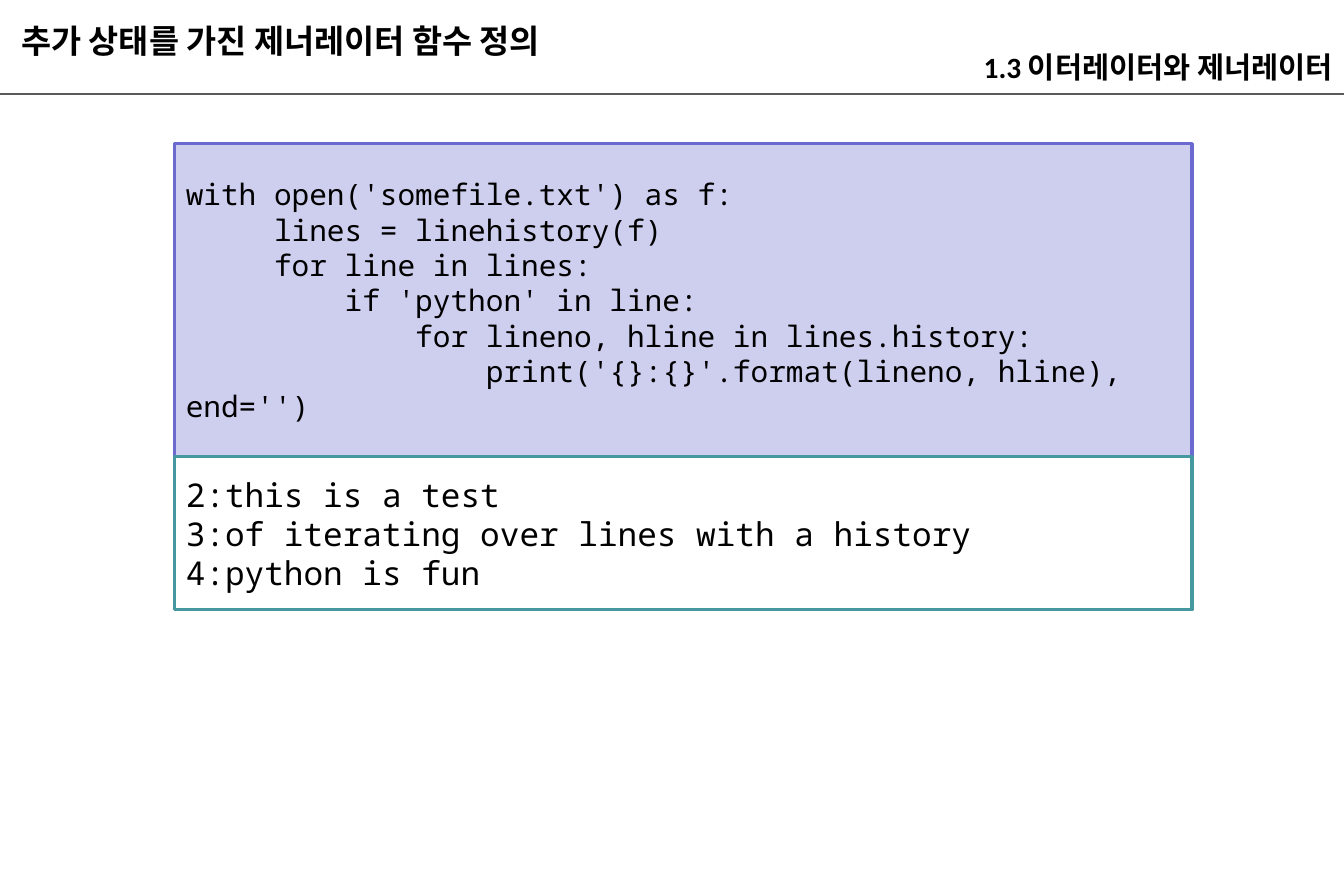
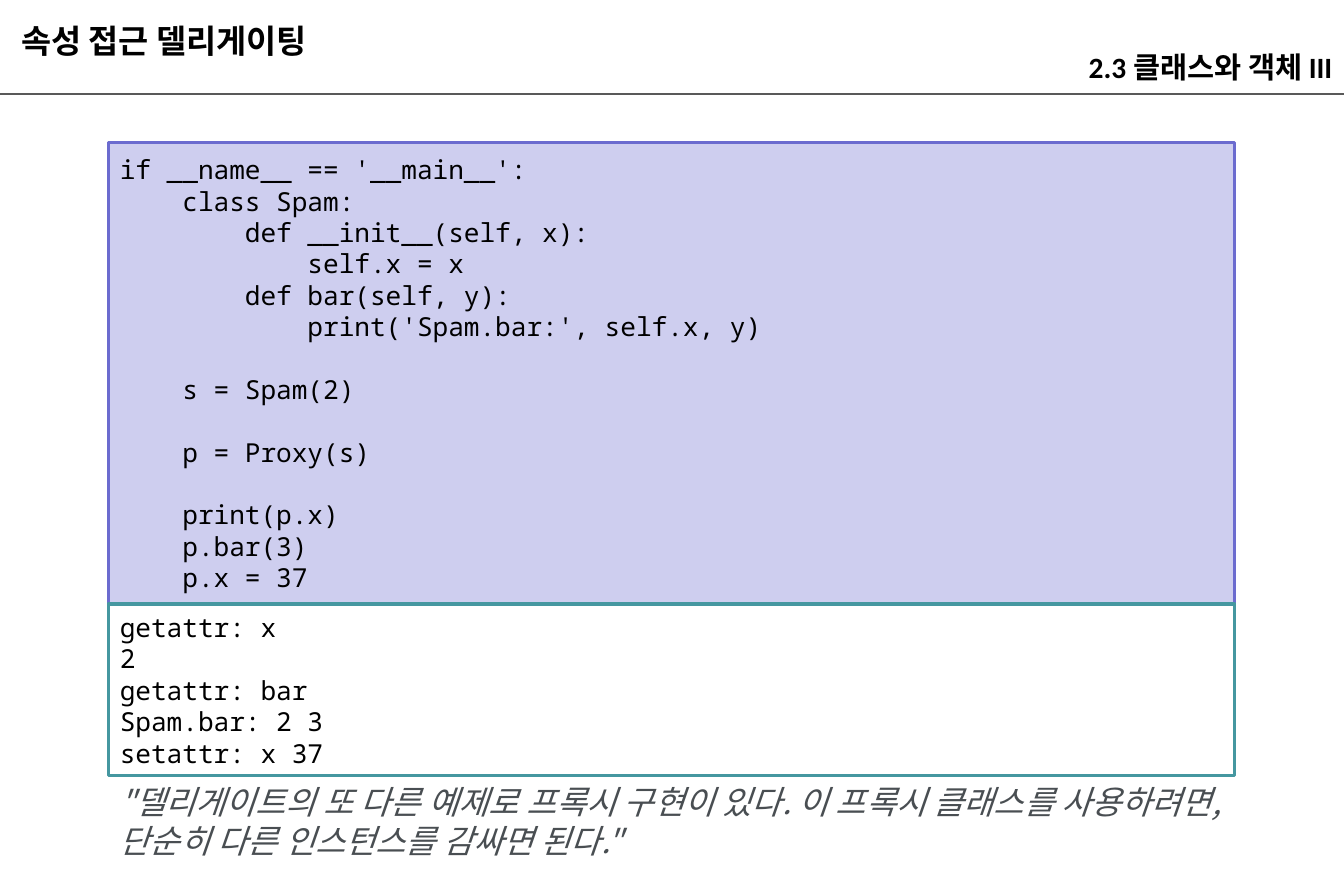
import lxml.etree
import pptx
import pptx.util
import pptx.dml.color
import pptx.enum.shapes
import pptx.enum.text
import pptx.oxml.ns

Pt = pptx.util.Pt
ANCHOR = pptx.enum.text.MSO_ANCHOR
ALIGN = pptx.enum.text.PP_ALIGN
W, H = 822.24, 540
MONO = "Noto Sans Mono"
KOREAN = "Noto Sans CJK KR"
COLORS = {
    "text": "000000",
    "rule": "595959",
    "code_fill": "CECEEF",
    "code_line": "6B6BCF",
    "output_fill": "FFFFFF",
    "output_line": "4597A0",
    "quote": "494E52",
}
RGB = {k: pptx.dml.color.RGBColor.from_string(v) for k, v in COLORS.items()}


def add_run(p, text, size, font, color="text", bold=False, italic=False):
    r = p.add_run()
    r.text = text
    r.font.size = Pt(size)
    r.font.name = font
    r.font.bold = bold
    r.font.italic = italic
    r.font.color.rgb = RGB[color]
    if font != MONO:
        ea = lxml.etree.SubElement(r.font._element, pptx.oxml.ns.qn("a:ea"))
        ea.set("typeface", KOREAN)


def add_heading(sp, box, text, size, align):
    sp.left, sp.top, sp.width, sp.height = [Pt(v) for v in box]
    tf = sp.text_frame
    tf.word_wrap = True
    tf.auto_size = pptx.enum.text.MSO_AUTO_SIZE.NONE
    tf.vertical_anchor = ANCHOR.BOTTOM
    tf.margin_left = tf.margin_right = Pt(7.2)
    tf.margin_top = tf.margin_bottom = Pt(1.44)
    p = tf.paragraphs[0]
    p.alignment = align
    add_run(p, text, size, "Calibri", bold=True)


slides = [
    {
        "title": "추가 상태를 가진 제너레이터 함수 정의",
        "section": "1.3 이터레이터와 제너레이터",
        "left": 106.56, "top": 87.84, "width": 622.8,
        "panels": [
            ("code", 191.52, 18, """with open('somefile.txt') as f:
     lines = linehistory(f)
     for line in lines:
         if 'python' in line:
             for lineno, hline in lines.history:
                 print('{}:{}'.format(lineno, hline), end='')"""),
            ("output", 93.6, 20, """2:this is a test
3:of iterating over lines with a history
4:python is fun"""),
        ],
        "quote": None,
    },
    {
        "title": "속성 접근 델리게이팅",
        "section": "2.3 클래스와 객체 III",
        "left": 66.24, "top": 87.12, "width": 689.04,
        "panels": [
            ("code", 282.24, 16, """if __name__ == '__main__':
    class Spam:
        def __init__(self, x):
            self.x = x
        def bar(self, y):
            print('Spam.bar:', self.x, y)

    s = Spam(2)

    p = Proxy(s)

    print(p.x)
    p.bar(3)
    p.x = 37"""),
            ("output", 105.12, 16, """getattr: x
2
getattr: bar
Spam.bar: 2 3
setattr: x 37"""),
        ],
        "quote": "\"델리게이트의 또 다른 예제로 프록시 구현이 있다. 이 프록시 클래스를 "
                 "사용하려면, 단순히 다른 인스턴스를 감싸면 된다.\"",
    },
]

prs = pptx.Presentation()
prs.slide_width, prs.slide_height = Pt(W), Pt(H)
layout = prs.slide_layouts.get_by_name("Title Only")

for number, content in enumerate(slides):
    s = prs.slides.add_slide(layout)

    if number == 0:
        rule = s.shapes.add_connector(
            pptx.enum.shapes.MSO_CONNECTOR.STRAIGHT, 0, Pt(57.6), Pt(W), Pt(57.6))
        rule.line.color.rgb = RGB["rule"]
        rule.line.width = Pt(1.5)
        lxml.etree.SubElement(
            rule.element.find(pptx.oxml.ns.qn("p:spPr")), pptx.oxml.ns.qn("a:effectLst"))
        prs.slide_master.shapes.element.append(rule.element)

    add_heading(s.shapes.title, (5.76, 6.48, 367.92, 31.68), content["title"], 20, ALIGN.LEFT)
    add_heading(s.shapes.add_textbox(0, 0, 0, 0), (439.92, 21.6, 382.32, 31.68),
                content["section"], 18, ALIGN.RIGHT)

    left, top, width = content["left"], content["top"], content["width"]
    for kind, height, size, text in content["panels"]:
        sp = s.shapes.add_shape(pptx.enum.shapes.MSO_SHAPE.RECTANGLE,
                                Pt(left), Pt(top), Pt(width), Pt(height))
        sp.shadow.inherit = False
        sp.fill.solid()
        sp.fill.fore_color.rgb = RGB[kind + "_fill"]
        sp.line.color.rgb = RGB[kind + "_line"]
        sp.line.width = Pt(2)
        tf = sp.text_frame
        tf.word_wrap = True
        tf.vertical_anchor = ANCHOR.MIDDLE
        p, gap = tf.paragraphs[0], 0
        for i, line in enumerate(text.split("\n")):
            if not line:
                gap = size * 1.2
                continue
            if i:
                p = tf.add_paragraph()
            p.alignment = ALIGN.LEFT
            p.space_before = Pt(gap)
            add_run(p, line, size, MONO)
            gap = 0
        top += height

    if content["quote"]:
        sp = s.shapes.add_textbox(Pt(left), Pt(top), Pt(692.64), Pt(55.44))
        tf = sp.text_frame
        tf.word_wrap = True
        add_run(tf.paragraphs[0], content["quote"], 20, KOREAN, "quote", italic=True)

prs.save("out.pptx")
